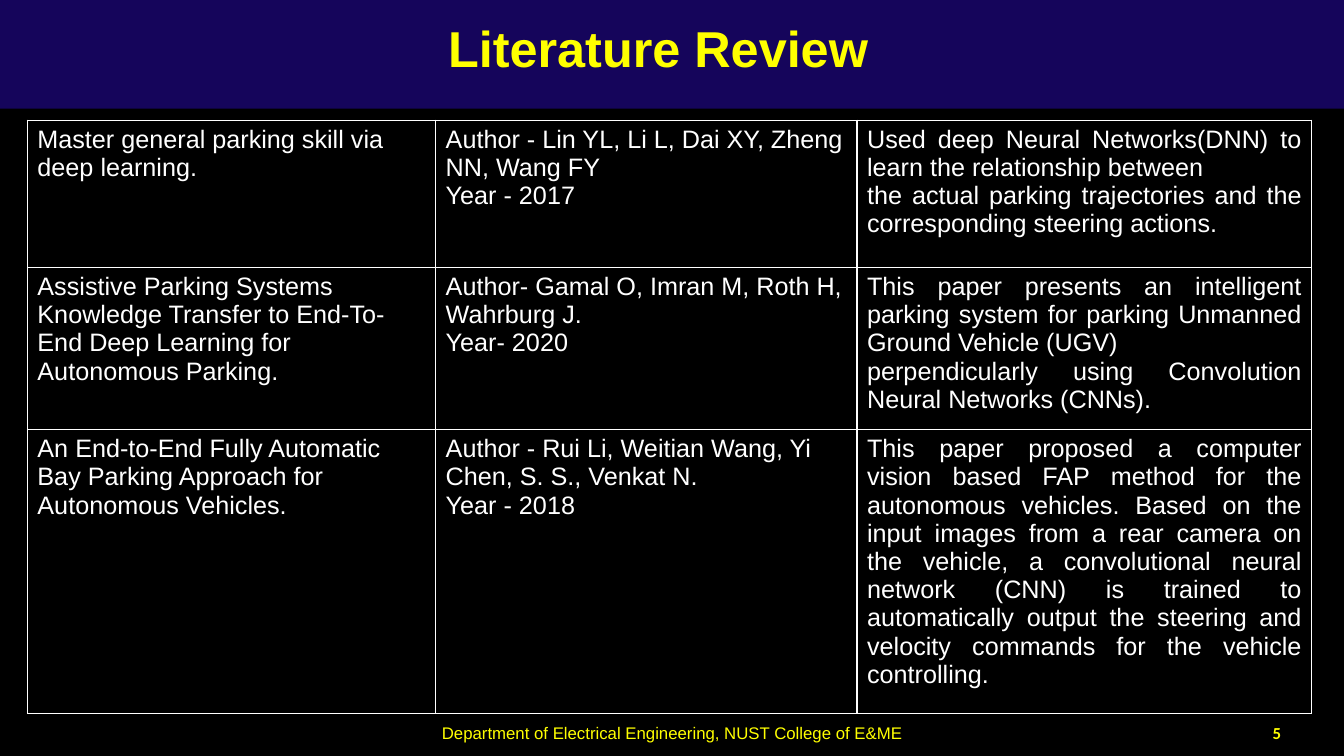
from dataclasses import dataclass

from lxml.etree import SubElement
from pptx import Presentation
from pptx.dml.color import RGBColor
from pptx.enum.shapes import MSO_SHAPE
from pptx.enum.text import MSO_ANCHOR, MSO_AUTO_SIZE, PP_ALIGN
from pptx.oxml.ns import qn
from pptx.util import Cm, Pt


@dataclass(frozen=True)
class Theme:
    background: str = "000000"
    band: str = "15055B"
    accent: str = "FFFF00"
    body: str = "FFFFFF"
    font: str = "Arial"
    number_font: str = "Calibri"
    title_size: int = 36
    body_size: int = 18
    footer_size: int = 12
    border_width: int = 1


@dataclass(frozen=True)
class Box:
    left: float
    top: float
    width: float
    height: float

    def lengths(self):
        return [Cm(value) for value in (self.left, self.top, self.width, self.height)]


THEME = Theme()
COLUMN_WIDTHS = (10.29, 10.62, 11.46)
ROW_HEIGHTS = (3.71, 4.09, 7.14)
PAPERS = [
    (
        ["Master general parking skill via deep learning."],
        ["Author - Lin YL, Li L, Dai XY, Zheng NN, Wang FY", "Year - 2017"],
        ["Used deep Neural Networks(DNN) to learn the relationship between",
         "the actual parking trajectories and the corresponding steering actions."],
    ),
    (
        ["Assistive Parking Systems Knowledge Transfer to End-To-End Deep Learning "
         "for Autonomous Parking."],
        ["Author- Gamal O, Imran M, Roth H, Wahrburg J.", "Year- 2020"],
        ["This paper presents an intelligent parking system for parking Unmanned "
         "Ground Vehicle (UGV)",
         "perpendicularly using Convolution Neural Networks (CNNs)."],
    ),
    (
        ["An End-to-End Fully Automatic Bay Parking Approach for Autonomous Vehicles."],
        ["Author - Rui Li, Weitian Wang, Yi Chen, S. S., Venkat N.", "Year - 2018"],
        ["This paper proposed a computer vision based FAP method for the autonomous "
         "vehicles. Based on the input images from a rear camera on the vehicle, a "
         "convolutional neural network (CNN) is trained to automatically output the "
         "steering and velocity commands for the vehicle controlling."],
    ),
]


def write_text(frame, lines, size, color=THEME.accent, font=THEME.font,
               bold=False, align=PP_ALIGN.CENTER):
    frame.word_wrap = True
    for index, line in enumerate(lines):
        para = frame.add_paragraph() if index else frame.paragraphs[0]
        para.alignment = align
        span = para.add_run()
        span.text = line
        span.font.size = Pt(size)
        span.font.name = font
        span.font.bold = bold
        span.font.color.rgb = RGBColor.from_string(color)


def add_header(page, box, title_box, title):
    band = page.shapes.add_shape(MSO_SHAPE.RECTANGLE, *box.lengths())
    band.shadow.inherit = False
    band.fill.solid()
    band.fill.fore_color.rgb = RGBColor.from_string(THEME.band)
    band.line.fill.background()

    heading = page.shapes.title
    heading.left, heading.top, heading.width, heading.height = title_box.lengths()
    band.element.addnext(heading.element)
    frame = heading.text_frame
    frame.auto_size = MSO_AUTO_SIZE.NONE
    frame.vertical_anchor = MSO_ANCHOR.MIDDLE
    frame.margin_right = Cm(0.96)
    write_text(frame, [title], THEME.title_size, bold=True)


def add_footer_text(page, box, text, **text_format):
    frame = page.shapes.add_textbox(*box.lengths()).text_frame
    frame.vertical_anchor = MSO_ANCHOR.MIDDLE
    write_text(frame, [text], THEME.footer_size, **text_format)


def draw_borders(cell):
    properties = cell._tc.get_or_add_tcPr()
    for side in ("a:lnL", "a:lnR", "a:lnT", "a:lnB"):
        line = SubElement(properties, qn(side), w=str(Pt(THEME.border_width)))
        fill = SubElement(line, qn("a:solidFill"))
        SubElement(fill, qn("a:srgbClr"), val=THEME.body)


def add_papers_table(page, box):
    table = page.shapes.add_table(
        len(PAPERS), len(COLUMN_WIDTHS), *box.lengths()).table
    table.first_row = False
    table.horz_banding = False
    for column, width in zip(table.columns, COLUMN_WIDTHS):
        column.width = Cm(width)
    alignments = (PP_ALIGN.LEFT, PP_ALIGN.LEFT, PP_ALIGN.JUSTIFY)
    for row, height, paper in zip(table.rows, ROW_HEIGHTS, PAPERS):
        row.height = Cm(height)
        for cell, lines, align in zip(row.cells, paper, alignments):
            draw_borders(cell)
            cell.fill.background()
            write_text(cell.text_frame, lines, THEME.body_size,
                       color=THEME.body, align=align)


def build_review_page(deck):
    page = deck.slides.add_slide(deck.slide_layouts[5])
    page.background.fill.solid()
    page.background.fill.fore_color.rgb = RGBColor.from_string(THEME.background)
    add_header(page, Box(0, 0, 33.87, 2.74), Box(4.24, 0.05, 25.4, 2.29),
               "Literature Review")
    add_papers_table(page, Box(0.69, 3.03, sum(COLUMN_WIDTHS), sum(ROW_HEIGHTS)))
    add_footer_text(page, Box(10.11, 17.96, 13.67, 1.02),
                    "Department of Electrical Engineering, NUST College of E&ME")
    add_footer_text(page, Box(30.91, 17.96, 2.54, 1.02), "5",
                    font=THEME.number_font, bold=True)


def main():
    deck = Presentation()
    deck.slide_width, deck.slide_height = Cm(33.87), Cm(19.05)
    build_review_page(deck)
    deck.save("out.pptx")


if __name__ == "__main__":
    main()
